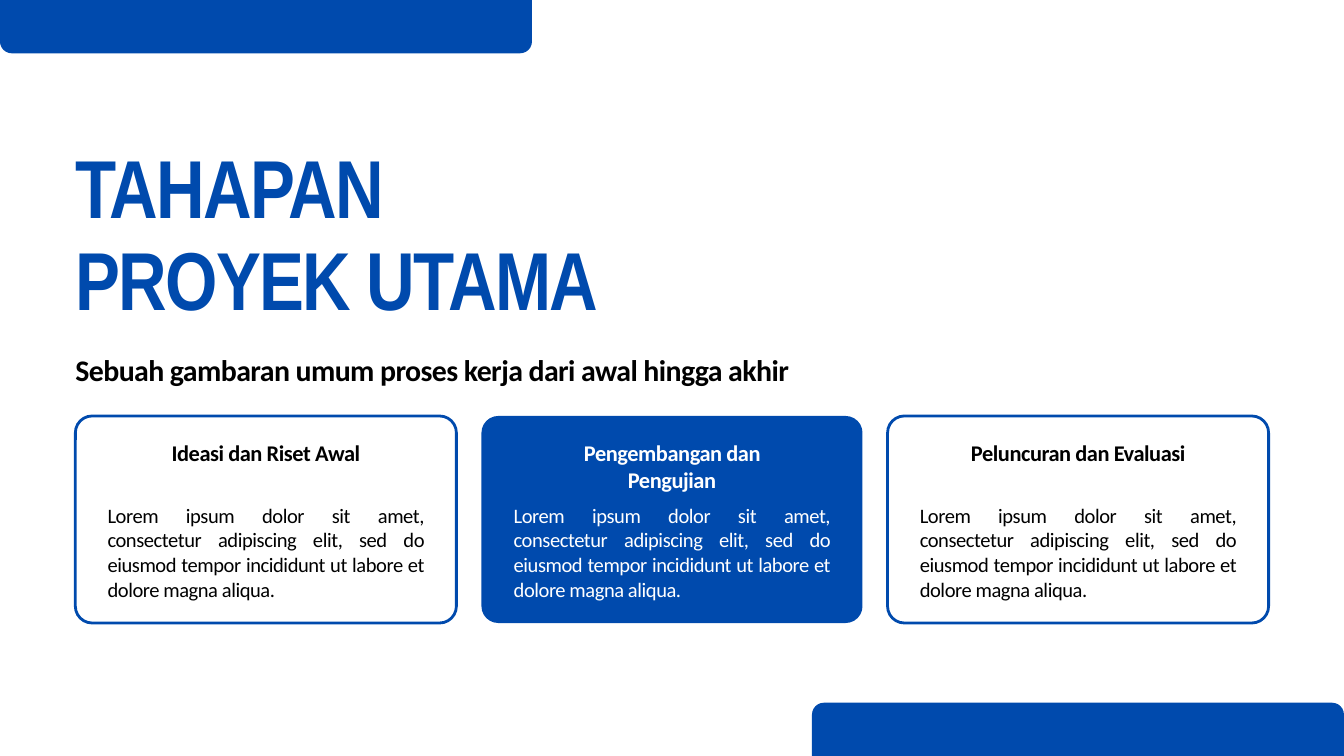
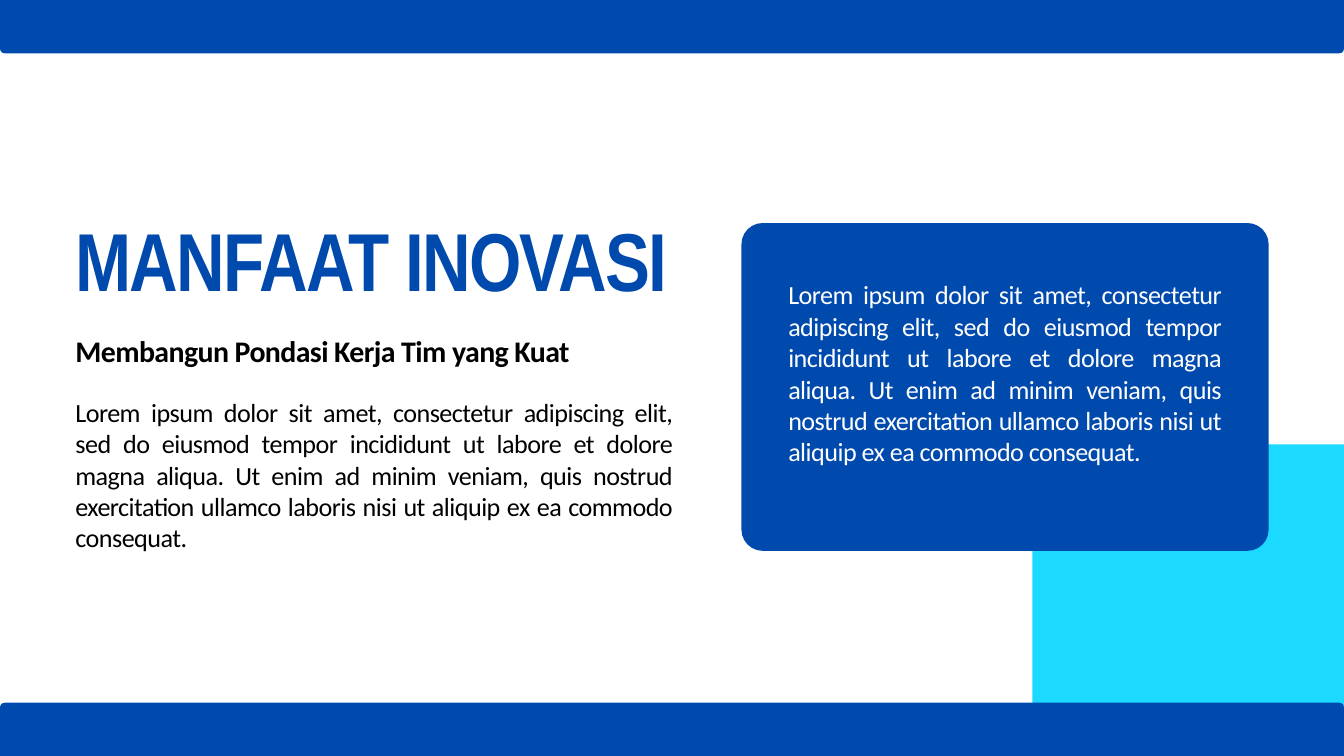
from lxml import etree
from pptx import Presentation
from pptx.dml.color import RGBColor
from pptx.enum.shapes import MSO_SHAPE
from pptx.enum.text import MSO_ANCHOR, MSO_AUTO_SIZE, PP_ALIGN
from pptx.oxml.ns import qn
from pptx.util import Pt

ROUNDED = MSO_SHAPE.ROUNDED_RECTANGLE
TOP = MSO_ANCHOR.TOP
FIXED = MSO_AUTO_SIZE.NONE
LEFT, CENTER, JUSTIFY = PP_ALIGN.LEFT, PP_ALIGN.CENTER, PP_ALIGN.JUSTIFY

COLORS = {"blue": "004AAD", "cyan": "1CDAFF", "black": "000000", "white": "FFFFFF"}
TITLE_FONT, BODY_FONT = "Arial Narrow", "Calibri"
PAGE_WIDTH, PAGE_HEIGHT = 1440, 810
MARGIN = 80.75
BAND_HEIGHT, BAND_VISIBLE = 114.2, 57.1
CARD_TOP, CARD_WIDTH, CARD_HEIGHT = 445.7, 408.25, 221.8
CARD_INSET, CARD_HEADING_WIDTH = 34.5, 250.5

SHORT_LOREM = (
    "Lorem ipsum dolor sit amet, consectetur adipiscing elit, sed do eiusmod "
    "tempor incididunt ut labore et dolore magna aliqua."
)
LONG_LOREM = SHORT_LOREM + (
    " Ut enim ad minim veniam, quis nostrud exercitation ullamco laboris nisi "
    "ut aliquip ex ea commodo consequat."
)
STAGES = ["Ideasi dan Riset Awal", "Pengembangan dan Pengujian", "Peluncuran dan Evaluasi"]


def color(name):
    """Return the named palette colour."""
    return RGBColor.from_string(COLORS[name])


def place(box, left, top, width, height):
    """Move and size a box, in points."""
    box.left, box.top, box.width, box.height = Pt(left), Pt(top), Pt(width), Pt(height)


def write(box, text, size, tint="black", align=LEFT, bold=False, font=BODY_FONT, leading=1.2):
    """Fill a box with text set without margins, slightly tightened."""
    frame = box.text_frame
    frame.text = text
    frame.word_wrap = True
    frame.auto_size = FIXED
    frame.vertical_anchor = TOP
    frame.margin_left = frame.margin_top = frame.margin_right = frame.margin_bottom = 0
    for para in frame.paragraphs:
        para.alignment = align
        para.space_before = Pt(0)
        para.line_spacing = Pt(round(size * leading, 1))
        for span in para.runs:
            span.font.name = font
            span.font.size = Pt(size)
            span.font.bold = bold
            span.font.color.rgb = color(tint)
            span._r.get_or_add_rPr().set("spc", str(-2 * size))


def add_text(page, text, bounds, size, **style):
    """Add a text box."""
    box = page.shapes.add_textbox(*map(Pt, bounds))
    write(box, text, size, **style)


def add_block(page, bounds, radius, fill="blue", outline=None):
    """Add a rounded rectangle with a corner radius in points."""
    block = page.shapes.add_shape(ROUNDED, *map(Pt, bounds))
    block.shadow.inherit = False
    block.adjustments[0] = radius / min(bounds[2:])
    if fill:
        block.fill.solid()
        block.fill.fore_color.rgb = color(fill)
    else:
        block.fill.background()
    if outline:
        block.line.color.rgb = color(outline)
        block.line.width = Pt(3)
    else:
        block.line.fill.background()


def add_bands(page, width, radius):
    """Add the band at the top left and the one at the bottom right."""
    hidden = BAND_HEIGHT - BAND_VISIBLE
    add_block(page, (0, -hidden, width, BAND_HEIGHT), radius)
    bottom = PAGE_HEIGHT - BAND_VISIBLE
    add_block(page, (PAGE_WIDTH - width, bottom, width, BAND_HEIGHT), radius)


def add_page(deck, title, title_bounds, subtitle, subtitle_bounds):
    """Add a slide with its title and subtitle in the template's placeholders."""
    page = deck.slides.add_slide(deck.slide_layouts[1])
    heading, body = page.placeholders
    place(heading, *title_bounds)
    write(heading, title, 88, tint="blue", bold=True, font=TITLE_FONT, leading=1.114)
    place(body, *subtitle_bounds)
    body.text_frame.text = subtitle
    write(body, subtitle, 32, bold=True)
    properties = body.text_frame.paragraphs[0]._p.get_or_add_pPr()
    properties.set("marL", "0")
    properties.set("indent", "0")
    etree.SubElement(properties, qn("a:buNone"))
    return page


def add_card(page, left, heading, highlighted):
    """Add a project stage card with its heading and description."""
    fill, outline, tint = ("blue", None, "white") if highlighted else (None, "blue", "black")
    add_block(page, (left, CARD_TOP, CARD_WIDTH, CARD_HEIGHT), 18, fill, outline)
    heading_left = left + (CARD_WIDTH - CARD_HEADING_WIDTH) / 2
    add_text(page, heading, (heading_left, 470.2, CARD_HEADING_WIDTH, 57), 24,
             tint=tint, align=CENTER, bold=True)
    text_width = CARD_WIDTH - 2 * CARD_INSET
    add_text(page, SHORT_LOREM, (left + CARD_INSET, 538.5, text_width, 104.4), 22,
             tint=tint, align=JUSTIFY)


def build_stages(deck):
    """Build the slide on the stages of the project."""
    page = add_page(deck, "TAHAPAN\vPROYEK UTAMA", (MARGIN, 154, 681, 196),
                    "Sebuah gambaran umum proses kerja dari awal hingga akhir",
                    (MARGIN, 376.6, 1133, 38.4))
    pitch = (PAGE_WIDTH - 2 * MARGIN - CARD_WIDTH) / (len(STAGES) - 1)
    for index, stage in enumerate(STAGES):
        add_card(page, MARGIN + index * pitch, stage, highlighted=index == 1)
    add_bands(page, 570, 12.7)


def build_benefits(deck):
    """Build the slide on the benefits of innovation."""
    page = add_page(deck, "MANFAAT INOVASI", (MARGIN, 231.8, 834.5, 98),
                    "Membangun Pondasi Kerja Tim yang Kuat",
                    (MARGIN, 356.4, 779, 38.4))
    add_block(page, (1106, 476, 382.3, 382.3), 30, "cyan")
    panel_width = 564.8
    add_block(page, (PAGE_WIDTH - MARGIN - panel_width, 239, panel_width, 351.2), 22.7)
    add_text(page, LONG_LOREM, (MARGIN, 424.8, 639.4, 165), 28, align=JUSTIFY)
    add_text(page, LONG_LOREM, (844.6, 298.8, 463.7, 231), 28, tint="white", align=JUSTIFY)
    add_bands(page, PAGE_WIDTH, 5)


def main():
    """Build and save the deck."""
    deck = Presentation()
    deck.slide_width, deck.slide_height = Pt(PAGE_WIDTH), Pt(PAGE_HEIGHT)
    build_stages(deck)
    build_benefits(deck)
    deck.save("out.pptx")


if __name__ == "__main__":
    main()
